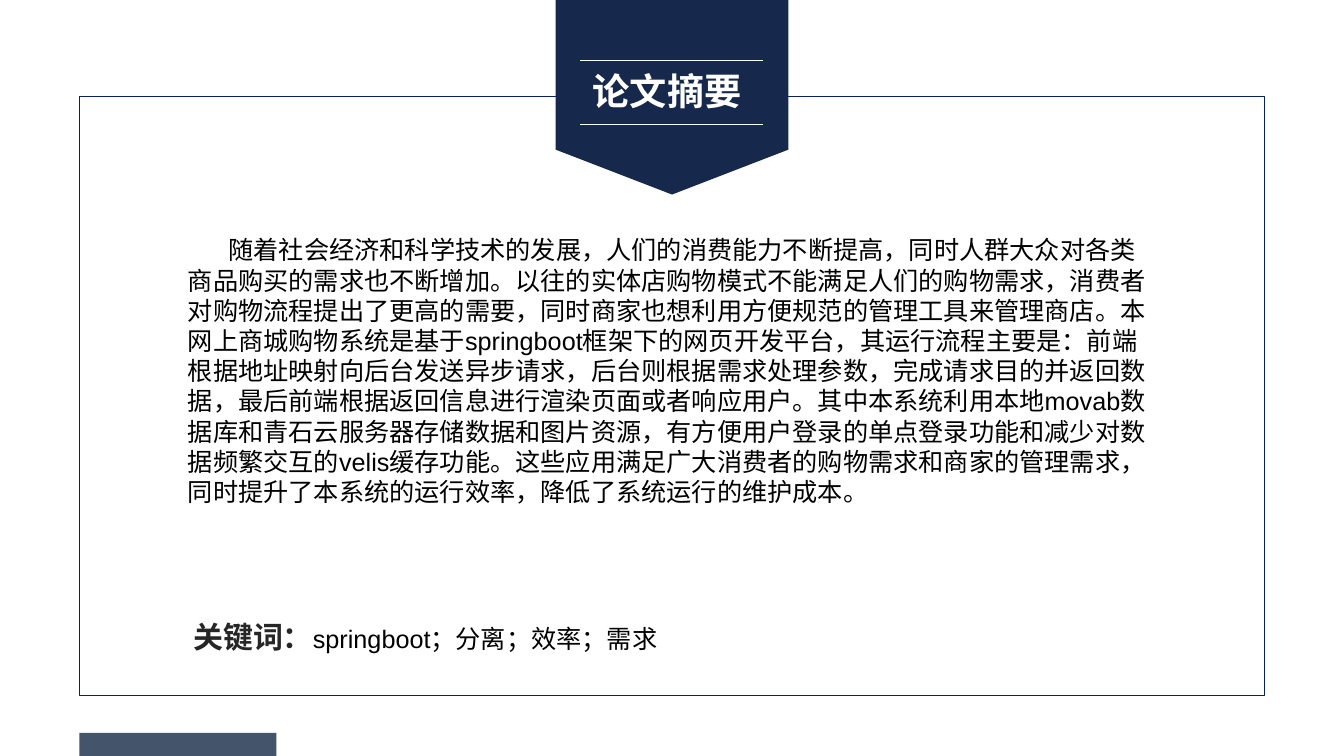
import pptx
import pptx.dml.color
import pptx.enum.shapes
import pptx.enum.text
import pptx.oxml.ns
import pptx.util
from dataclasses import dataclass
from lxml import etree

Pt = pptx.util.Pt
RGB = pptx.dml.color.RGBColor.from_string
SHAPE = pptx.enum.shapes.MSO_SHAPE
qn = pptx.oxml.ns.qn


@dataclass(frozen=True)
class Theme:
    navy: str = "16294C"
    frame: str = "072064"
    slate: str = "44546A"
    white: str = "FFFFFF"
    label: str = "262626"
    body: str = "000000"
    title_size: float = 26.6
    label_size: float = 21.4
    body_size: float = 18
    latin: str = "Arial"
    chinese: str = "Noto Sans CJK SC"


theme = Theme()


def add_run(paragraph, text, size, color, latin, bold=False):
    """Append a run with its Latin font and the theme's Chinese font."""
    run = paragraph.add_run()
    run.text = text
    run.font.size = Pt(size)
    run.font.bold = bold
    run.font.color.rgb = RGB(color)
    run.font.name = latin
    etree.SubElement(run.font._element, qn("a:ea"), typeface=theme.chinese)


def add_text_box(left, top, width, height, wrap=True):
    frame = slide.shapes.add_textbox(Pt(left), Pt(top), Pt(width), Pt(height)).text_frame
    frame.word_wrap = wrap
    return frame.paragraphs[0]


deck = pptx.Presentation()
deck.slide_width, deck.slide_height = Pt(960), Pt(540)
slide = deck.slides.add_slide(deck.slide_layouts[6])

# Frame, title banner and footer bar
border = slide.shapes.add_shape(SHAPE.RECTANGLE, Pt(56.8), Pt(69), Pt(846.5), Pt(427.8))
border.fill.background()
border.line.color.rgb = RGB(theme.frame)
border.line.width = Pt(1)

banner = slide.shapes.add_shape(SHAPE.PENTAGON, Pt(410), Pt(-14.2), Pt(140), Pt(166.3))
banner.rotation = 90
banner.adjustments[0] = 0.229
footer = slide.shapes.add_shape(SHAPE.RECTANGLE, Pt(56.7), Pt(523.6), Pt(140.8), Pt(19.4))
for block, color in ((banner, theme.navy), (footer, theme.slate)):
    block.fill.solid()
    block.fill.fore_color.rgb = RGB(color)
    block.line.fill.background()
for block in (border, banner, footer):
    block.shadow.inherit = False

# Title between two rules
for rule_y in (43.1, 88.7):
    rule = slide.shapes.add_connector(
        pptx.enum.shapes.MSO_CONNECTOR.STRAIGHT, Pt(414.6), Pt(rule_y), Pt(545), Pt(rule_y))
    rule.line.color.rgb = RGB(theme.white)
    rule.line.width = Pt(0.5)
    etree.SubElement(rule._element.spPr, qn("a:effectLst"))

title = add_text_box(416.2, 45, 122.4, 39.6, wrap=False)
add_run(title, "论文摘要", theme.title_size, theme.white, theme.chinese, bold=True)

# Abstract with an indented first line
abstract = add_text_box(127.2, 164, 705.6, 203)
abstract._p.get_or_add_pPr().set("indent", str(Pt(29)))
add_run(
    abstract,
    "随着社会经济和科学技术的发展，人们的消费能力不断提高，同时人群大众对各类商品购买的需求也不断增加。"
    "以往的实体店购物模式不能满足人们的购物需求，消费者对购物流程提出了更高的需要，"
    "同时商家也想利用方便规范的管理工具来管理商店。"
    "本网上商城购物系统是基于springboot框架下的网页开发平台，其运行流程主要是："
    "前端根据地址映射向后台发送异步请求，后台则根据需求处理参数，完成请求目的并返回数据，"
    "最后前端根据返回信息进行渲染页面或者响应用户。"
    "其中本系统利用本地movab数据库和青石云服务器存储数据和图片资源，"
    "有方便用户登录的单点登录功能和减少对数据频繁交互的velis缓存功能。"
    "这些应用满足广大消费者的购物需求和商家的管理需求，"
    "同时提升了本系统的运行效率，降低了系统运行的维护成本。",
    theme.body_size, theme.body, theme.latin)

keywords = add_text_box(131, 438.5, 349.2, 59)
add_run(keywords, "关键词：", theme.label_size, theme.label, theme.chinese, bold=True)
add_run(keywords, "springboot；分离；效率；需求", theme.body_size, theme.body, theme.latin)

deck.save("out.pptx")
